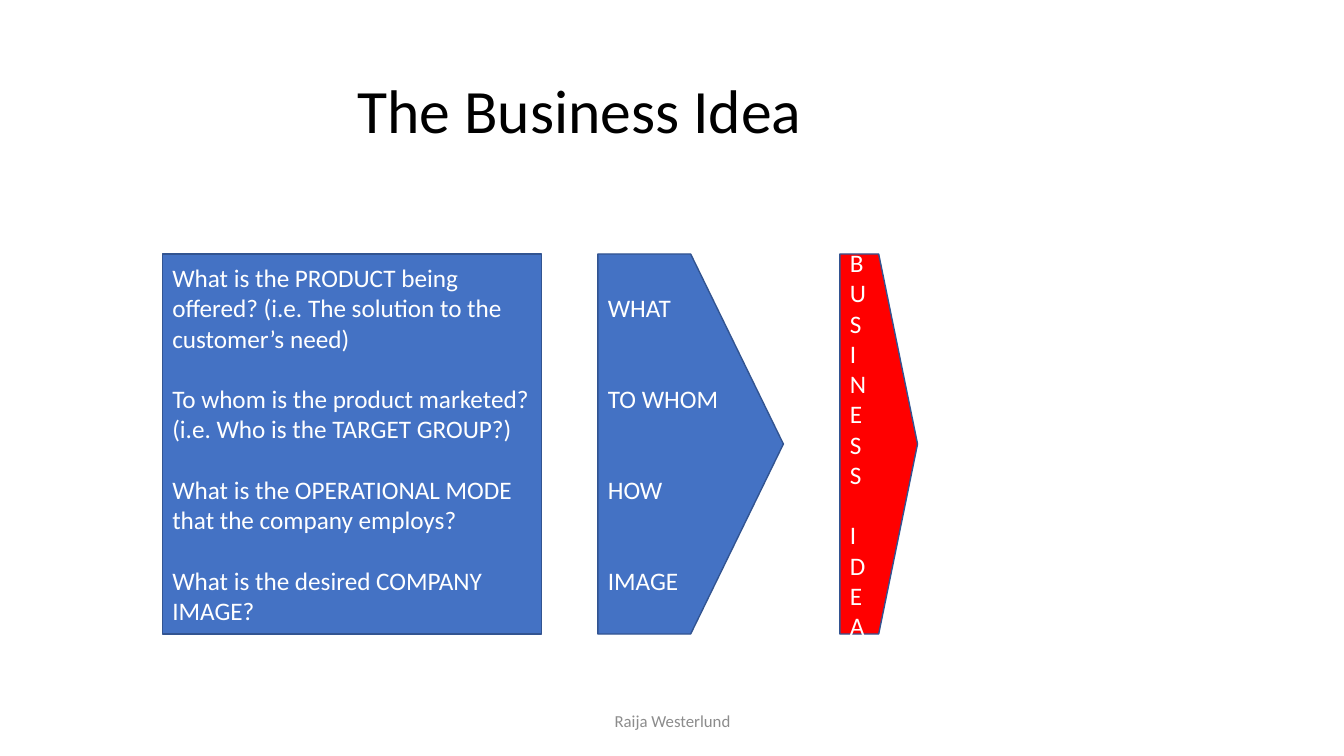
import dataclasses

import pptx
import pptx.dml.color
import pptx.enum.shapes
import pptx.enum.text
import pptx.util

SLIDE_WIDTH = pptx.util.Inches(13.33)
SLIDE_HEIGHT = pptx.util.Inches(7.5)
COLOURS = {
    "black": "000000", "white": "FFFFFF", "grey": "8C8C8C",
    "blue": "4472C4", "red": "FF0000", "outline": "325491",
}
TEXT_LINE = 21.6  # points taken by one line of 18 pt text
BLOCK_LEFT, BLOCK_GAP = 12.08, 4.2
BLOCK_TOP, BLOCK_HEIGHT = 33.6, 50.27

SHAPES = pptx.enum.shapes.MSO_SHAPE
ALIGN = pptx.enum.text.PP_ALIGN


@dataclasses.dataclass(frozen=True)
class Block:
    """One step of the flow; width is a percentage of the slide's width."""
    outline: SHAPES
    width: float
    fill: str
    paragraphs: tuple[str, ...]
    lines_between: int


@dataclasses.dataclass(frozen=True)
class Label:
    text: str
    area: tuple[float, float, float, float]
    size: int
    colour: str
    line_spacing: float = 1.0


BLOCKS = (
    Block(SHAPES.RECTANGLE, 28.21, "blue", (
        "What is the PRODUCT being offered? (i.e. The solution to the customer’s need)",
        "To whom is the product marketed? (i.e. Who is the TARGET GROUP?)",
        "What is the OPERATIONAL MODE that the company employs?",
        "What is the desired COMPANY IMAGE?",
    ), 1),
    Block(SHAPES.PENTAGON, 13.8, "blue", ("WHAT", "TO WHOM", "HOW", "IMAGE"), 2),
    Block(SHAPES.PENTAGON, 5.78, "red",
          tuple("\v".join(word) for word in ("BUSINESS", "IDEA")), 1),
)
LABELS = (
    Label("Raija Westerlund", (33.16, 92.67, 33.76, 5.33), 12, "grey"),
    Label("The Business Idea", (0, 5.33, 86.27, 19.33), 44, "black", 0.9),
)


def colour(name: str) -> pptx.dml.color.RGBColor:
    return pptx.dml.color.RGBColor.from_string(COLOURS[name])


def place(left: float, top: float, width: float, height: float) -> tuple[int, ...]:
    """Turn percentages of the slide's size into lengths."""
    return (int(SLIDE_WIDTH * left / 100), int(SLIDE_HEIGHT * top / 100),
            int(SLIDE_WIDTH * width / 100), int(SLIDE_HEIGHT * height / 100))


def write(shape, paragraphs: tuple[str, ...], size: int, colour_name: str,
          alignment: ALIGN, gap: float = 0, line_spacing: float = 1.0) -> None:
    """Fill a shape with paragraphs that stand gap points apart."""
    frame = shape.text_frame
    frame.word_wrap = True
    frame.vertical_anchor = pptx.enum.text.MSO_ANCHOR.MIDDLE
    for index, text in enumerate(paragraphs):
        paragraph = frame.add_paragraph() if index else frame.paragraphs[0]
        paragraph.text = text
        paragraph.alignment = alignment
        paragraph.line_spacing = line_spacing
        paragraph.space_before = pptx.util.Pt(gap if index else 0)
        for run in paragraph.runs:
            run.font.name = "Calibri"
            run.font.size = pptx.util.Pt(size)
            run.font.color.rgb = colour(colour_name)


def draw_label(slide, label: Label) -> None:
    shape = slide.shapes.add_textbox(*place(*label.area))
    write(shape, (label.text,), label.size, label.colour, ALIGN.CENTER,
          line_spacing=label.line_spacing)


def draw_block(slide, block: Block, left: float) -> None:
    shape = slide.shapes.add_shape(
        block.outline, *place(left, BLOCK_TOP, block.width, BLOCK_HEIGHT))
    shape.shadow.inherit = False
    shape.fill.solid()
    shape.fill.fore_color.rgb = colour(block.fill)
    shape.line.color.rgb = colour("outline")
    shape.line.width = pptx.util.Pt(1)
    write(shape, block.paragraphs, 18, "white", ALIGN.LEFT,
          gap=block.lines_between * TEXT_LINE)


def main() -> None:
    presentation = pptx.Presentation()
    presentation.slide_width = SLIDE_WIDTH
    presentation.slide_height = SLIDE_HEIGHT
    slide = presentation.slides.add_slide(presentation.slide_layouts[6])
    for label in LABELS:
        draw_label(slide, label)
    left = BLOCK_LEFT
    for block in BLOCKS:
        draw_block(slide, block, left)
        left += block.width + BLOCK_GAP
    presentation.save("out.pptx")


if __name__ == "__main__":
    main()
